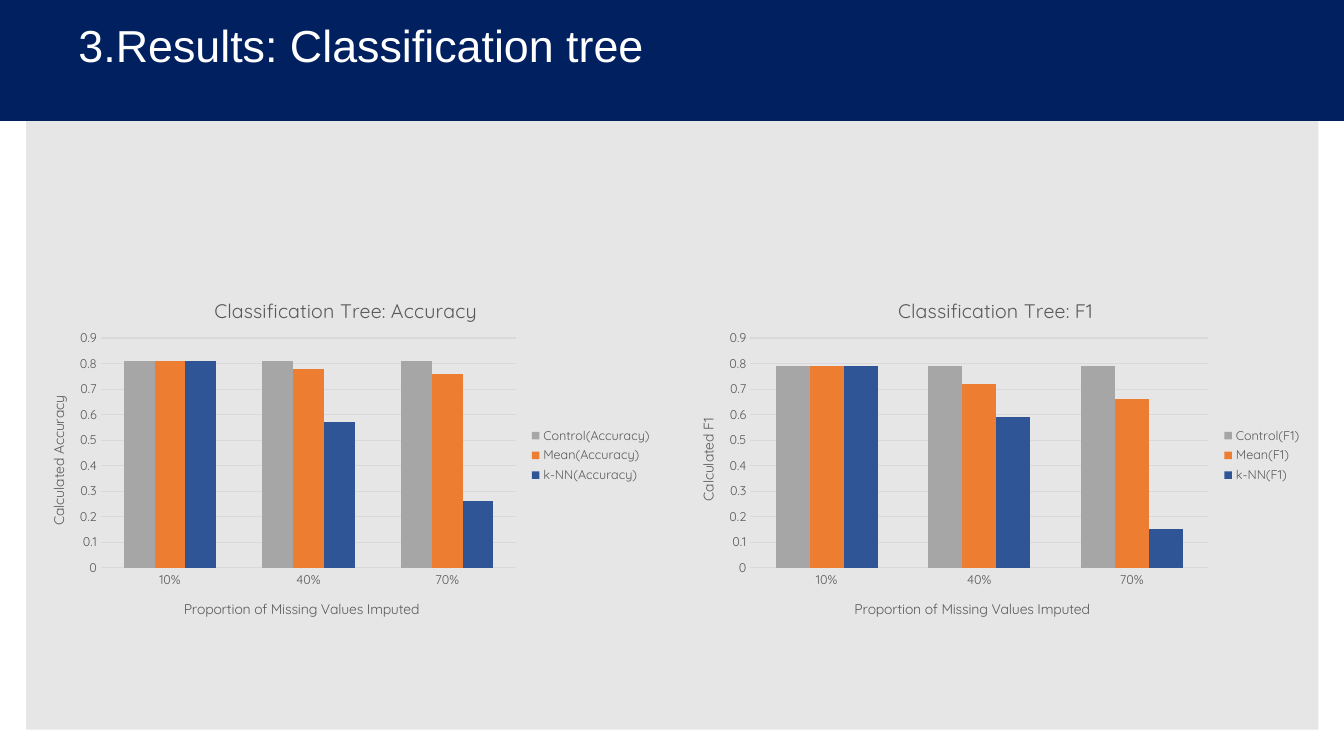
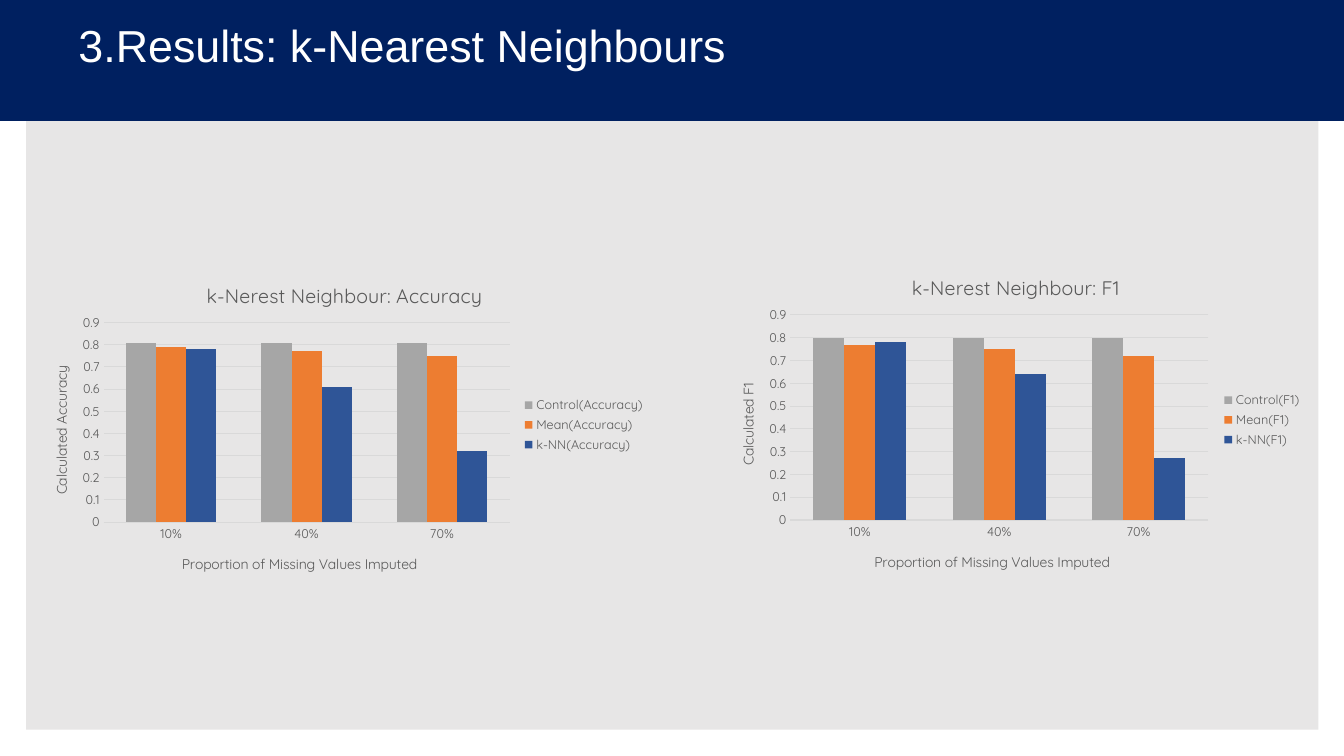
import pptx
import pptx.util
import pptx.dml.color
import pptx.chart.data
import pptx.enum.chart
import pptx.enum.shapes
import pptx.enum.text
import pptx.oxml
import pptx.oxml.ns

Pt = pptx.util.Pt
qn = pptx.oxml.ns.qn
CHART = pptx.enum.chart

SLIDE_SIZE = (960, 540)
PANEL = (18.72, 18.72, 923.04, 502.56)
BAND = (0, 0, 960, 86.4)
HEADING = (49, 18.7, 875, 31)
NAVY, PALE, WHITE = "002060", "E7E6E6", "FFFFFF"
GREY, RULE = "595959", "D9D9D9"
CHART_FONT = "Quicksand"
PROPORTIONS = ["10%", "40%", "70%"]
METHODS = [("Control", "A6A6A6"), ("Mean", "ED7D31"), ("k-NN", "2F5597")]
X_TITLE, X_TITLE_WIDTH = "Proportion of Missing Values Imputed", 168
MARGIN_LEFT, MARGIN_TOP, MARGIN_BOTTOM = 56, 45.5, 49
METRICS = {
    "Accuracy": {"legend_room": 104, "y_title_length": 93},
    "F1": {"legend_room": 74, "y_title_length": 61},
}

RESULTS = [
    {
        "heading": "3.Results: Classification tree",
        "model": "Classification Tree",
        "charts": [
            {"metric": "Accuracy", "box": (16, 196, 457, 258.5), "title_width": 188,
             "scores": [(0.81, 0.81, 0.81), (0.81, 0.78, 0.76), (0.81, 0.57, 0.26)]},
            {"metric": "F1", "box": (480, 196, 457, 258.5), "title_width": 139,
             "scores": [(0.79, 0.79, 0.79), (0.79, 0.72, 0.66), (0.79, 0.59, 0.15)]},
        ],
    },
    {
        "heading": "3.Results: k-Nearest Neighbours",
        "model": "k-Nerest Neighbour",
        "charts": [
            {"metric": "Accuracy", "box": (18, 185, 450, 237), "title_width": 196,
             "scores": [(0.81, 0.81, 0.81), (0.79, 0.77, 0.75), (0.78, 0.61, 0.32)]},
            {"metric": "F1", "box": (508.5, 179.5, 428.5, 241), "title_width": 148,
             "scores": [(0.8, 0.8, 0.8), (0.77, 0.75, 0.72), (0.78, 0.64, 0.27)]},
        ],
    },
]


def rgb(value):
    return pptx.dml.color.RGBColor.from_string(value)


def apply(target, formats):
    for name, value in formats.items():
        setattr(target, name, value)


def style_font(font, size, color, name):
    apply(font, {"size": Pt(size), "name": name, "bold": False})
    font.color.rgb = rgb(color)


def add_block(slide, box, color):
    block = slide.shapes.add_shape(
        pptx.enum.shapes.MSO_SHAPE.RECTANGLE, *map(Pt, box))
    block.shadow.inherit = False
    block.fill.solid()
    block.fill.fore_color.rgb = rgb(color)
    block.line.fill.background()


def add_heading(slide, text):
    frame = slide.shapes.add_textbox(*map(Pt, HEADING)).text_frame
    apply(frame, {"word_wrap": True,
                  "vertical_anchor": pptx.enum.text.MSO_ANCHOR.MIDDLE})
    paragraph = frame.paragraphs[0]
    paragraph.line_spacing = 0.9
    run = paragraph.add_run()
    run.text = text
    style_font(run.font, 32, WHITE, "Arial")


def place(element, chart_size, left, top, size=None):
    for old in element.findall(qn("c:layout")):
        element.remove(old)
    width, height = chart_size
    values = {"xMode": "edge", "yMode": "edge", "x": left / width, "y": top / height}
    if size:
        values = {"layoutTarget": "inner", **values,
                  "w": size[0] / width, "h": size[1] / height}
    layout = pptx.oxml.parse_xml(
        f'<c:layout {pptx.oxml.ns.nsdecls("c")}><c:manualLayout>'
        + "".join(f'<c:{tag} val="{value}"/>' for tag, value in values.items())
        + "</c:manualLayout></c:layout>")
    text = element.find(qn("c:tx"))
    element.insert(0 if text is None else 1, layout)


def write_title(title, text, size):
    frame = title.text_frame
    frame.text = text
    style_font(frame.paragraphs[0].runs[0].font, size, GREY, CHART_FONT)
    return title._element


def style_axis(axis):
    apply(axis, {"major_tick_mark": CHART.XL_TICK_MARK.NONE,
                 "minor_tick_mark": CHART.XL_TICK_MARK.NONE})
    style_font(axis.tick_labels.font, 9, GREY, CHART_FONT)


def style_rule(line):
    line.color.rgb = rgb(RULE)
    line.width = Pt(0.75)


def add_score_chart(slide, model, metric, box, title_width, scores):
    data = pptx.chart.data.CategoryChartData()
    data.categories = PROPORTIONS
    for (method, _), values in zip(METHODS, scores):
        data.add_series(f"{method}({metric})", values)
    chart = slide.shapes.add_chart(
        CHART.XL_CHART_TYPE.COLUMN_CLUSTERED, *map(Pt, box), data).chart
    style_font(chart.font, 10, GREY, CHART_FONT)
    chart._chartSpace.find(qn("c:chart")).addnext(pptx.oxml.parse_xml(
        f'<c:spPr {pptx.oxml.ns.nsdecls("c", "a")}><a:noFill/>'
        '<a:ln><a:noFill/></a:ln></c:spPr>'))

    bars = chart.plots[0]
    apply(bars, {"gap_width": 150, "overlap": 0, "vary_by_categories": False})
    for series, (_, color) in zip(bars.series, METHODS):
        series.format.fill.solid()
        series.format.fill.fore_color.rgb = rgb(color)

    chart.has_legend = True
    apply(chart.legend, {"position": CHART.XL_LEGEND_POSITION.RIGHT,
                         "include_in_layout": False})
    style_font(chart.legend.font, 9, GREY, CHART_FONT)

    proportion_axis, score_axis = chart.category_axis, chart.value_axis
    for axis in (proportion_axis, score_axis):
        style_axis(axis)
    apply(score_axis, {"minimum_scale": 0, "maximum_scale": 0.9, "major_unit": 0.1})
    apply(score_axis.tick_labels, {"number_format": "General",
                                   "number_format_is_linked": False})
    style_rule(proportion_axis.format.line)
    style_rule(score_axis.major_gridlines.format.line)
    score_axis.format.line.fill.background()

    size = width, height = box[2:]
    plot_width = width - MARGIN_LEFT - METRICS[metric]["legend_room"]
    plot_height = height - MARGIN_TOP - MARGIN_BOTTOM
    place(chart._chartSpace.find(qn("c:chart")).find(qn("c:plotArea")),
          size, MARGIN_LEFT, MARGIN_TOP, (plot_width, plot_height))
    place(write_title(chart.chart_title, f"{model}: {metric}", 14),
          size, (width - title_width) / 2, 13)
    place(write_title(proportion_axis.axis_title, X_TITLE, 10), size,
          MARGIN_LEFT - 7 + (plot_width - X_TITLE_WIDTH) / 2, height - 28)
    score_title = write_title(score_axis.axis_title, f"Calculated {metric}", 10)
    apply_rotation = score_title.find(".//" + qn("a:bodyPr"))
    apply_rotation.set("rot", "-5400000")
    apply_rotation.set("vert", "horz")
    y_title_length = METRICS[metric]["y_title_length"]
    place(score_title, size, 17,
          MARGIN_TOP + 4 + (plot_height - y_title_length) / 2)


def main():
    deck = pptx.Presentation()
    apply(deck, dict(zip(("slide_width", "slide_height"), map(Pt, SLIDE_SIZE))))
    for result in RESULTS:
        slide = deck.slides.add_slide(deck.slide_layouts[6])
        add_block(slide, PANEL, PALE)
        add_block(slide, BAND, NAVY)
        add_heading(slide, result["heading"])
        for chart in result["charts"]:
            add_score_chart(slide, result["model"], **chart)
    deck.save("out.pptx")


if __name__ == "__main__":
    main()
